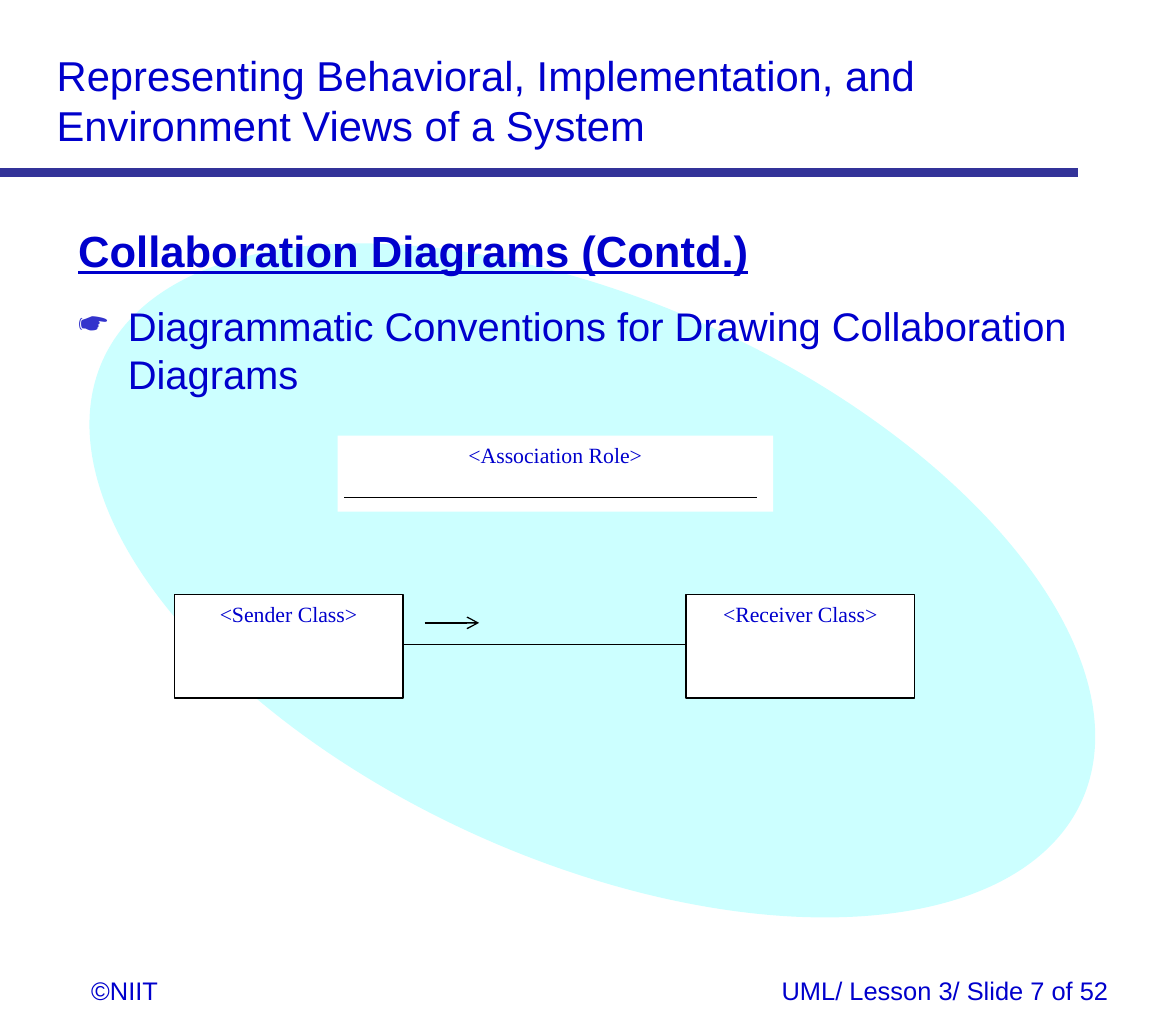
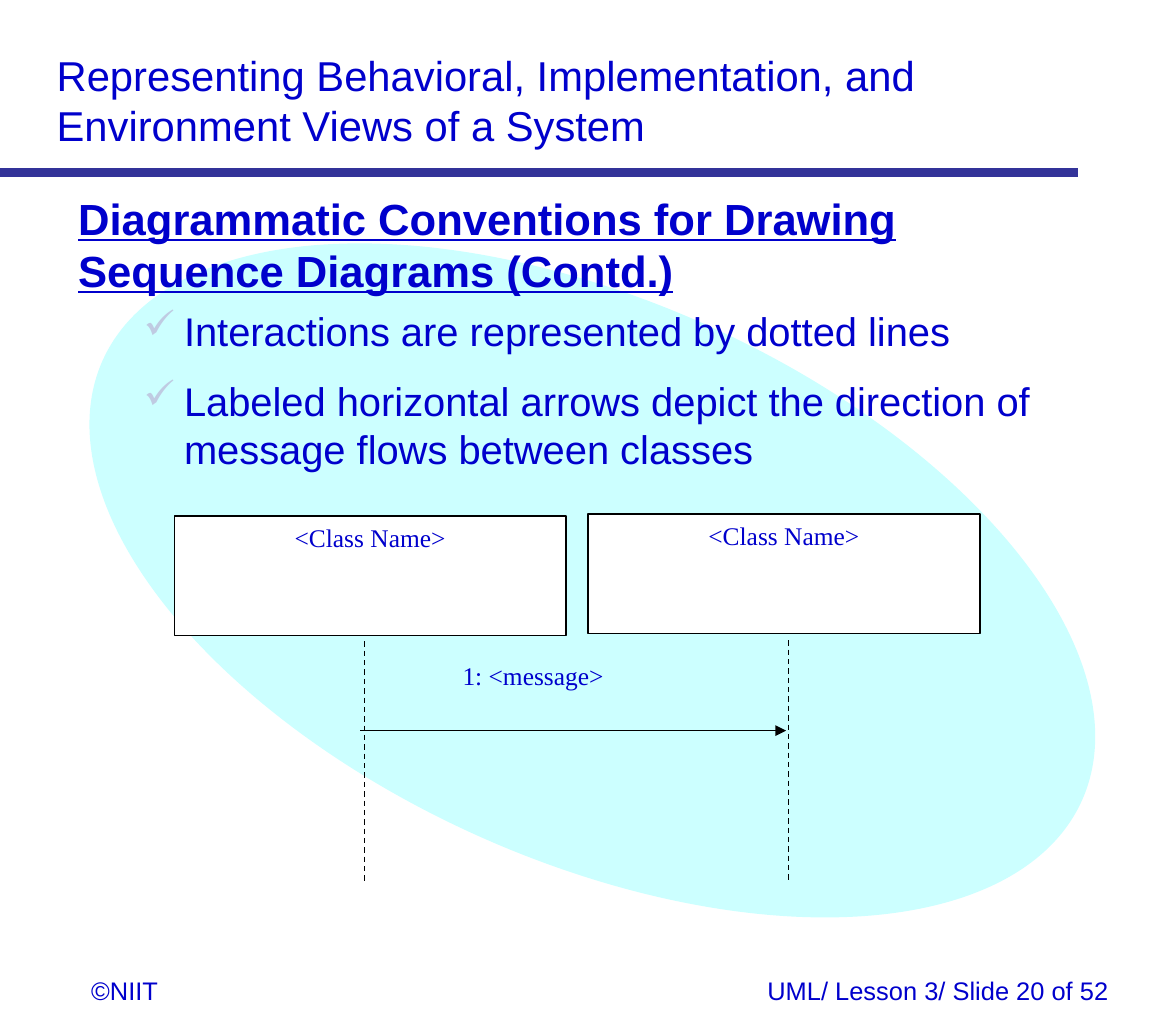
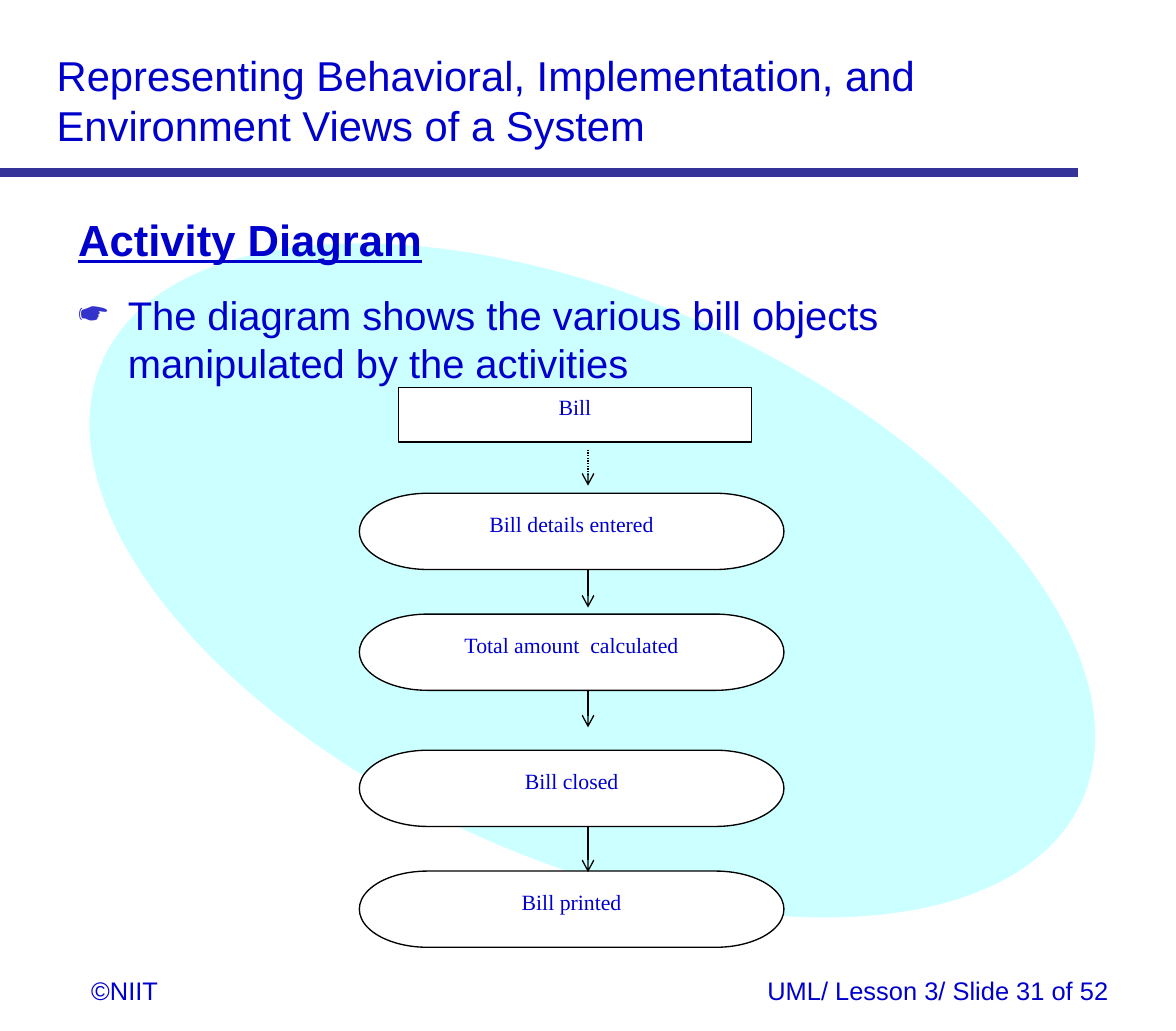
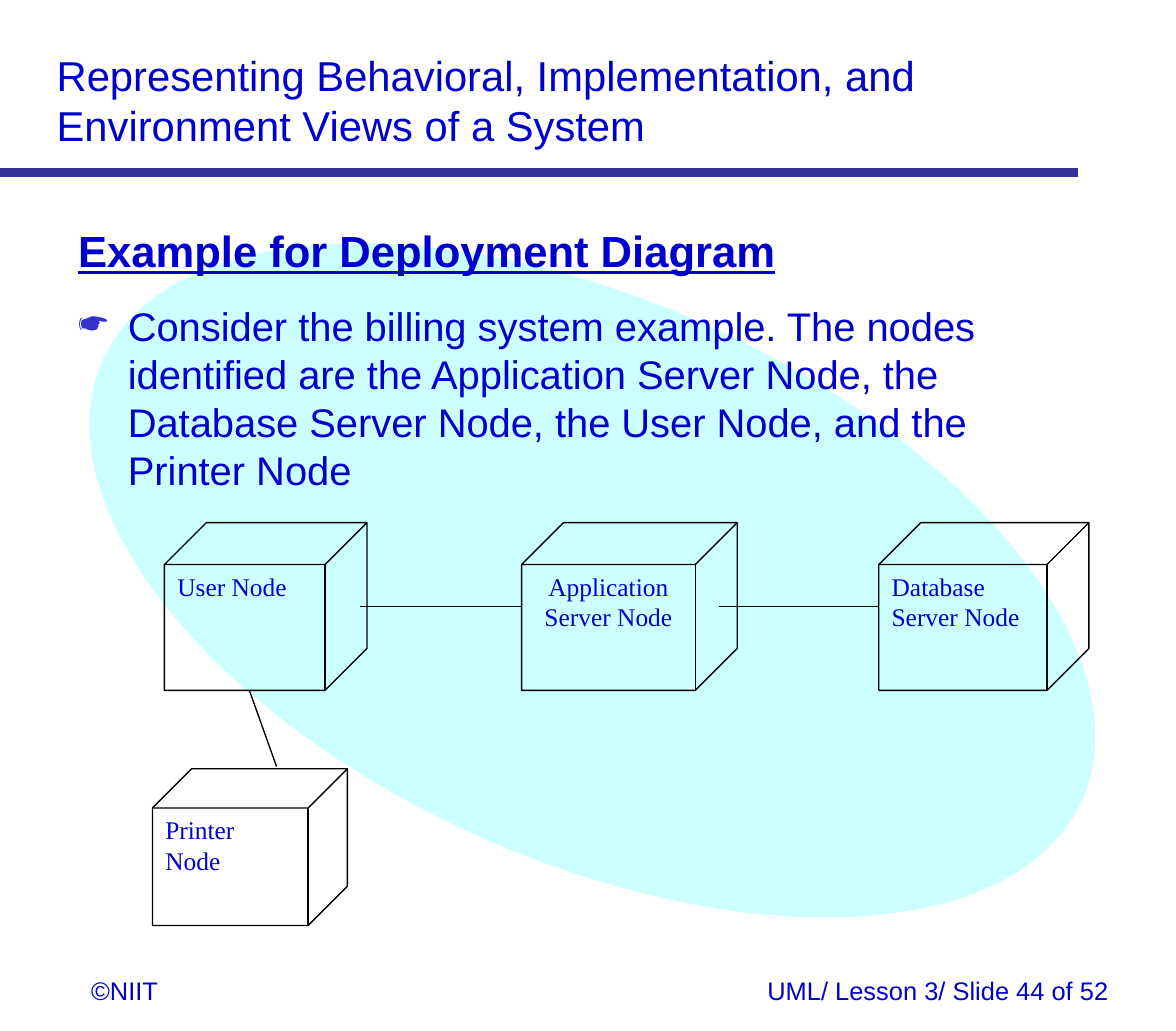
from dataclasses import dataclass

from lxml import etree
from pptx import Presentation
from pptx import util as u
from pptx.dml.color import RGBColor
from pptx.enum import dml, shapes, text
from pptx.oxml import ns

# Grid: 12 columns and 12 rows to the inch
CELL = u.Inches(1) / 12
COLS, ROWS = 108, 94.68

BLUE = RGBColor(0x00, 0x00, 0xCC)
BAND = RGBColor(0x33, 0x33, 0x99)
AQUA = RGBColor(0xCC, 0xFF, 0xFF)
WHITE = RGBColor(0xFF, 0xFF, 0xFF)
BLACK = RGBColor(0x00, 0x00, 0x00)
SANS, SERIF = "Arial", "Times New Roman"

TITLE = "Representing Behavioral, Implementation, and Environment Views of a System"
COPYRIGHT = "©NIIT"
FOOTER = "UML/ Lesson 3/ Slide {} of 52"

LEFT, CENTER, RIGHT = text.PP_ALIGN.LEFT, text.PP_ALIGN.CENTER, text.PP_ALIGN.RIGHT
SHAPE, DASH = shapes.MSO_SHAPE, dml.MSO_LINE


@dataclass(frozen=True)
class Area:
    col: float
    row: float
    cols: float
    rows: float

    def emu(self) -> list[int]:
        return [grid(v) for v in (self.col, self.row, self.cols, self.rows)]


@dataclass(frozen=True)
class Bullet:
    char: str
    color: str
    margin: float
    hang: float
    before: float
    after: float


@dataclass(frozen=True)
class Node:
    label: str
    area: Area
    kind: int = SHAPE.RECTANGLE
    size: float = 12
    align: int = CENTER
    fill: RGBColor | None = WHITE
    outline: RGBColor | None = BLACK


@dataclass(frozen=True)
class Link:
    start: tuple[float, float]
    end: tuple[float, float]
    head: str | None = None
    dash: int | None = None
    color: RGBColor = BLACK
    width: float = 0.75


@dataclass(frozen=True)
class Page:
    number: int
    heading: str
    body_row: float
    bullet: Bullet
    points: list[str]
    nodes: list[Node]
    links: list[Link]


HAND = Bullet("☛", "3333CC", 0.38, 0.38, 13.8, 0)
CHECK = Bullet("✓", "BFCBE2", 0.81, 0.31, 6, 6)


def grid(cells: float) -> int:
    return round(cells * CELL)


def style(p, size: float, font: str = SANS, align: int = LEFT, strong: bool = False) -> None:
    p.alignment = align
    for r in p.runs:
        f = r.font
        f.name, f.size, f.color.rgb = font, u.Pt(size), BLUE
        f.bold = f.underline = strong


def set_bullet(p, bullet: Bullet) -> None:
    pPr = p._p.get_or_add_pPr()
    pPr.set("marL", str(u.Inches(bullet.margin)))
    pPr.set("indent", str(-u.Inches(bullet.hang)))
    color = etree.SubElement(pPr, ns.qn("a:buClr"))
    etree.SubElement(color, ns.qn("a:srgbClr"), val=bullet.color)
    etree.SubElement(pPr, ns.qn("a:buChar"), char=bullet.char)
    p.space_before, p.space_after = u.Pt(bullet.before), u.Pt(bullet.after)


def add_text(s, area: Area, words: str, size: float, font: str = SANS, align: int = LEFT):
    tf = s.shapes.add_textbox(*area.emu()).text_frame
    tf.word_wrap = True
    tf.text = words
    style(tf.paragraphs[0], size, font, align)
    return tf


def add_node(s, node: Node):
    sp = s.shapes.add_shape(node.kind, *node.area.emu())
    sp.shadow.inherit = False
    if node.fill is None:
        sp.fill.background()
    else:
        sp.fill.solid()
        sp.fill.fore_color.rgb = node.fill
    if node.outline is None:
        sp.line.fill.background()
    else:
        sp.line.color.rgb = node.outline
        sp.line.width = u.Pt(0.75)
    if node.label:
        tf = sp.text_frame
        tf.word_wrap = True
        tf.vertical_anchor = text.MSO_ANCHOR.TOP
        tf.text = node.label
        style(tf.paragraphs[0], node.size, SERIF, node.align)
    return sp


def add_link(s, link: Link) -> None:
    ends = [grid(v) for v in (*link.start, *link.end)]
    line = s.shapes.add_connector(shapes.MSO_CONNECTOR.STRAIGHT, *ends)
    line.line.color.rgb = link.color
    line.line.width = u.Pt(link.width)
    if link.dash is not None:
        line.line.dash_style = link.dash
    if link.head:
        etree.SubElement(line.line._get_or_add_ln(), ns.qn("a:tailEnd"), type=link.head)
    etree.SubElement(line._element.spPr, ns.qn("a:effectLst"))


def add_frame(s, number: int) -> None:
    """Draw what every slide shares: ellipse, title, rule and footers."""
    oval = add_node(s, Node("", Area(28.7, 4, 51.4, 98.6), SHAPE.OVAL, fill=AQUA, outline=None))
    oval.rotation = 294.2

    title = s.shapes.title
    title.left, title.top, title.width, title.height = Area(4, 4, 93.6, 10.4).emu()
    tf = title.text_frame
    tf.text = TITLE
    tf.word_wrap = True
    tf.auto_size = text.MSO_AUTO_SIZE.NONE
    tf.vertical_anchor = text.MSO_ANCHOR.TOP
    tf.paragraphs[0].space_before = u.Pt(0)
    style(tf.paragraphs[0], 23)

    add_text(s, Area(7.2, 89, 13.4, 4.1), COPYRIGHT, 14)
    add_text(s, Area(15, 89, 88, 4.1), FOOTER.format(number), 14, align=RIGHT)
    add_link(s, Link((0, 15.8), (99, 15.8), color=BAND, width=5))


def add_body(s, page: Page) -> None:
    area = Area(6, page.body_row, 95.4, 87.3 - page.body_row)
    tf = add_text(s, area, page.heading, 24)
    style(tf.paragraphs[0], 24, strong=True)
    for point in page.points:
        p = tf.add_paragraph()
        p.text = point
        set_bullet(p, page.bullet)
        style(p, 22)


def add_page(prs, page: Page) -> None:
    s = prs.slides.add_slide(prs.slide_layouts[5])
    add_frame(s, page.number)
    add_body(s, page)
    for node in page.nodes:
        add_node(s, node)
    for link in page.links:
        add_link(s, link)


def class_box(label: str, col: float) -> Node:
    return Node(label, Area(col, 54.6, 21, 9.5))


def activity(label: str, row: float) -> Node:
    return Node(label, Area(33, row, 39, 7), SHAPE.FLOWCHART_TERMINATOR)


def flow(top: float, bottom: float, dash: int | None = None) -> Link:
    return Link((54, top), (54, bottom), "arrow", dash)


def cube(label: str, area: Area, align: int = LEFT) -> Node:
    return Node(label, area, SHAPE.CUBE, 14, align, fill=None)


PAGES = [
    Page(
        7, "Collaboration Diagrams (Contd.)", 20, HAND,
        ["Diagrammatic Conventions for Drawing Collaboration Diagrams"],
        [
            Node("<Association Role>", Area(31, 40, 40, 7), outline=None),
            class_box("<Sender Class>", 16),
            class_box("<Receiver Class>", 63),
        ],
        [
            Link((31.6, 45.7), (69.5, 45.7)),
            Link((37, 59.2), (63, 59.2)),
            Link((39, 57.2), (44, 57.2), "arrow"),
        ],
    ),
    Page(
        20, "Diagrammatic Conventions for Drawing Sequence Diagrams (Contd.)", 17, CHECK,
        [
            "Interactions are represented by dotted lines",
            "Labeled horizontal arrows depict the direction of message flows between classes",
        ],
        [
            Node("<Class Name>", Area(16, 47.4, 36, 11), size=14),
            Node("<Class Name>", Area(54, 47.2, 36, 11), size=14),
            Node("1: <message>", Area(41.3, 60, 23.8, 5.8), size=14, align=LEFT,
                 fill=None, outline=None),
        ],
        [
            Link((33.5, 58.9), (33.5, 81), dash=DASH.DASH),
            Link((72.4, 58.8), (72.4, 80.9), dash=DASH.DASH),
            Link((33.1, 67.1), (72.2, 67.1), "triangle"),
        ],
    ),
    Page(
        31, "Activity Diagram", 19, HAND,
        ["The diagram shows the various bill objects manipulated by the activities"],
        [
            Node("Bill", Area(36.6, 35.6, 32.4, 5)),
            activity("Bill details entered", 45.3),
            activity("Total amount  calculated", 56.4),
            activity("Bill closed", 68.9),
            activity("Bill printed", 80),
        ],
        [
            flow(41.3, 44.6, DASH.ROUND_DOT),
            flow(52.3, 55.8),
            flow(63.4, 66.8),
            flow(75.9, 80.1),
        ],
    ),
    Page(
        44, "Example for Deployment Diagram", 20, HAND,
        ["Consider the billing system example. The nodes identified are the Application "
         "Server Node, the Database Server Node, the User Node, and the Printer Node"],
        [
            cube("User Node", Area(15.1, 48, 18.6, 15.4)),
            cube("Application Server Node", Area(47.9, 48, 19.8, 15.4), CENTER),
            cube("Database Server Node", Area(80.7, 48, 19.3, 15.4)),
            cube("Printer Node", Area(14, 70.6, 17.9, 14.4)),
        ],
        [
            Link((33.1, 55.7), (47.9, 55.7)),
            Link((66, 55.7), (80.7, 55.7)),
            Link((22.9, 63.4), (25.4, 70.4)),
        ],
    ),
]


def main() -> None:
    prs = Presentation()
    prs.slide_width, prs.slide_height = grid(COLS), grid(ROWS)
    for page in PAGES:
        add_page(prs, page)
    prs.save("out.pptx")


if __name__ == "__main__":
    main()
